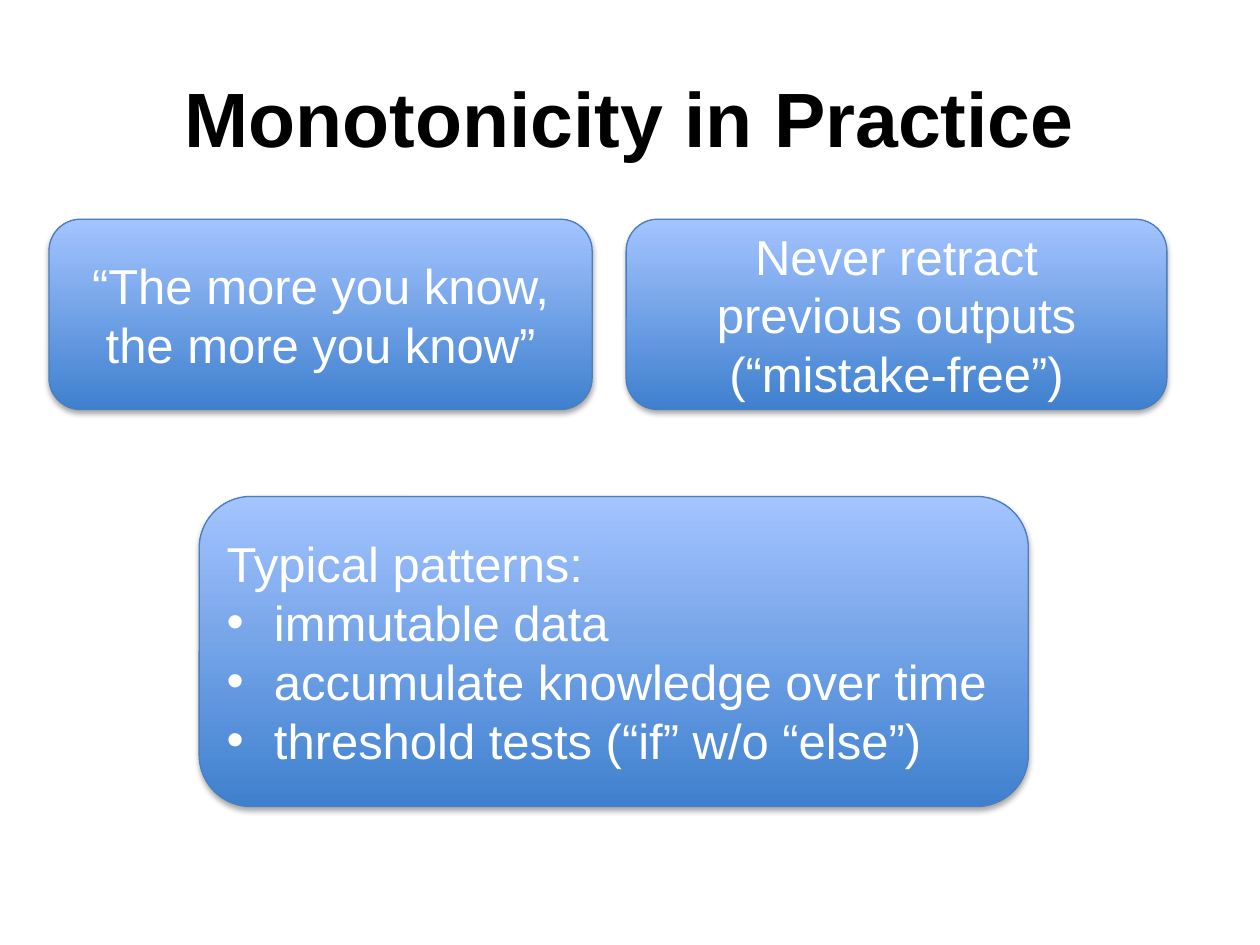
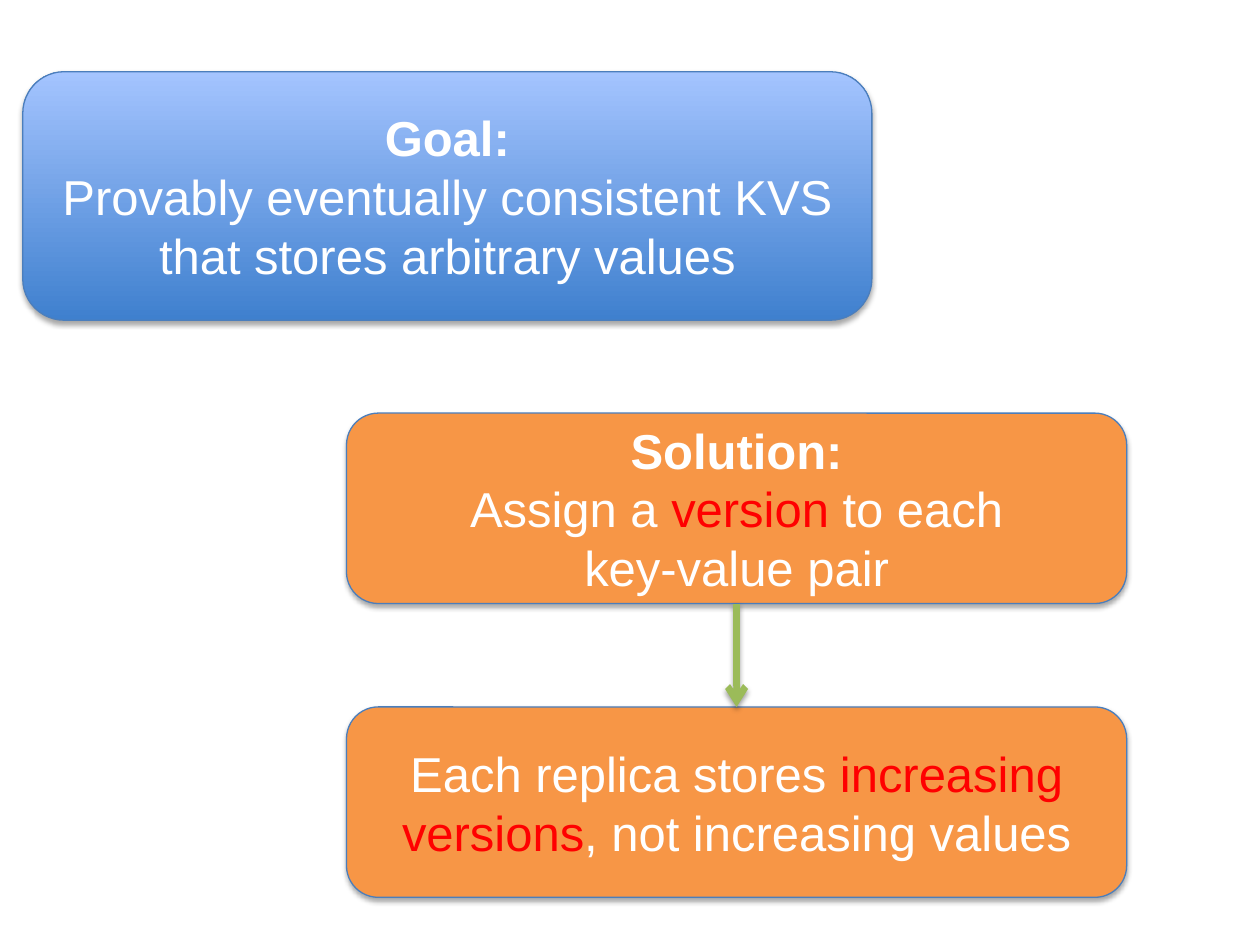
from dataclasses import dataclass

from lxml import etree
from pptx import Presentation
from pptx import util as u
from pptx.dml import color as dml
from pptx.enum import shapes, text
from pptx.oxml import ns

Pt = u.Pt
TITLE_ONLY, BLANK = 5, 6
BOTTOM_SITE, TOP_SITE = 2, 0


@dataclass(frozen=True)
class Theme:
    font: str = "Arial"
    title_size: float = 44
    text_size: float = 28
    ink: str = "000000"
    paper: str = "FFFFFF"
    highlight: str = "FF0000"
    blue_low: str = "3F80CE"
    blue_high: str = "A4C4FF"
    orange: str = "F79646"
    outline: str = "4B7EBC"
    arrow: str = "9BBB59"
    outline_width: float = 0.75
    arrow_width: float = 3.75
    bullet_indent: float = 27


def rgb(value):
    return dml.RGBColor.from_string(value)


def set_values(target, values):
    """Set every attribute named in values on target."""
    for name, value in values.items():
        setattr(target, name, value)


def add_xml(parent, tag, **attributes):
    return etree.SubElement(parent, ns.qn(tag), attributes)


def add_shadow(effects, distance, opacity):
    """Put a soft black shadow, falling straight down, in an effect list."""
    shadow = add_xml(effects, "a:outerShdw", blurRad=str(Pt(3.1)),
                     dist=str(Pt(distance)), dir="5400000", rotWithShape="0")
    black = add_xml(shadow, "a:srgbClr", val="000000")
    add_xml(black, "a:alpha", val=str(opacity * 1000))


class Deck:
    def __init__(self, theme):
        self.theme = theme
        self.file = Presentation()
        set_values(self.file, {"slide_width": Pt(720), "slide_height": Pt(540)})
        self.slide = None
        base = {"name": theme.font, "size": Pt(theme.text_size), "bold": False}
        self.styles = {
            "plain": (base, theme.paper),
            "bold": (base | {"bold": True}, theme.paper),
            "highlight": (base, theme.highlight),
            "title": (base | {"size": Pt(theme.title_size), "bold": True}, theme.ink),
        }

    def new_slide(self, layout):
        self.slide = self.file.slides.add_slide(self.file.slide_layouts[layout])

    def fill_paragraph(self, paragraph, parts, align):
        """Fill a paragraph with (text, style) parts; a newline breaks the line."""
        paragraph.alignment = align
        for words, style in parts:
            values, colour = self.styles[style]
            for number, line in enumerate(words.split("\n")):
                if number:
                    paragraph.add_line_break()
                if line:
                    run = paragraph.add_run()
                    run.text = line
                    set_values(run.font, values)
                    run.font.color.rgb = rgb(colour)

    def title(self, words):
        title = self.slide.shapes.title
        set_values(title, {"left": Pt(36), "top": Pt(21.6),
                           "width": Pt(648), "height": Pt(90)})
        title.text_frame.vertical_anchor = text.MSO_ANCHOR.MIDDLE
        self.fill_paragraph(title.text_frame.paragraphs[0], [(words, "title")],
                            text.PP_ALIGN.CENTER)

    def card(self, bounds, parts, solid=None):
        """Add a rounded box, blue gradient unless a solid colour is given."""
        theme = self.theme
        card = self.slide.shapes.add_shape(
            shapes.MSO_SHAPE.ROUNDED_RECTANGLE, *map(Pt, bounds))
        if solid:
            card.fill.solid()
            card.fill.fore_color.rgb = rgb(solid)
        else:
            card.fill.gradient()
            card.fill.gradient_angle = 90
            for stop, colour in zip(card.fill.gradient_stops,
                                    (theme.blue_low, theme.blue_high)):
                stop.color.rgb = rgb(colour)
        card.line.color.rgb = rgb(theme.outline)
        card.line.width = Pt(theme.outline_width)
        card.shadow.inherit = False
        add_shadow(card.element.spPr.find(ns.qn("a:effectLst")), 1.8, 35)
        card.text_frame.vertical_anchor = text.MSO_ANCHOR.MIDDLE
        self.fill_paragraph(card.text_frame.paragraphs[0], parts, text.PP_ALIGN.CENTER)
        return card

    def bullet_card(self, bounds, heading, items):
        card = self.card(bounds, [(heading, "plain")])
        card.text_frame.paragraphs[0].alignment = text.PP_ALIGN.LEFT
        indent = Pt(self.theme.bullet_indent)
        for item in items:
            paragraph = card.text_frame.add_paragraph()
            properties = paragraph._p.get_or_add_pPr()
            properties.set("marL", str(indent))
            properties.set("indent", str(-indent))
            add_xml(properties, "a:buFont", typeface=self.theme.font)
            add_xml(properties, "a:buChar", char="•")
            self.fill_paragraph(paragraph, [(item, "plain")], text.PP_ALIGN.LEFT)

    def arrow_down(self, upper, lower):
        arrow = self.slide.shapes.add_connector(shapes.MSO_CONNECTOR.STRAIGHT, 0, 0, 0, 0)
        arrow.begin_connect(upper, BOTTOM_SITE)
        arrow.end_connect(lower, TOP_SITE)
        arrow.line.color.rgb = rgb(self.theme.arrow)
        arrow.line.width = Pt(self.theme.arrow_width)
        properties = arrow.element.spPr
        add_xml(properties.find(ns.qn("a:ln")), "a:tailEnd", type="arrow")
        add_shadow(add_xml(properties, "a:effectLst"), 1.6, 38)


def monotonicity_slide(deck):
    deck.new_slide(TITLE_ONLY)
    deck.title("Monotonicity in Practice")
    deck.card((28, 125.3, 310.4, 108.8),
              [("“The more you know, the more you know”", "plain")])
    deck.card((357.8, 125.3, 309, 108.8),
              [("Never retract\nprevious outputs\n(“mistake-free”)", "plain")])
    deck.bullet_card((113.8, 283.7, 473.8, 177.2), "Typical patterns:", [
        "immutable data",
        "accumulate knowledge over time",
        "threshold tests (“if” w/o “else”)",
    ])


def versions_slide(deck):
    deck.new_slide(BLANK)
    deck.card((13, 41, 485.2, 142), [
        ("Goal:\n", "bold"),
        ("Provably eventually consistent KVS that stores arbitrary values", "plain"),
    ])
    steps = [
        [("Solution:\n", "bold"), ("Assign a ", "plain"), ("version", "highlight"),
         (" to each\nkey-value pair", "plain")],
        [("Each replica stores ", "plain"), ("increasing versions", "highlight"),
         (", not increasing values", "plain")],
    ]
    solution, replica = [
        deck.card((198, 236.1 + 167.9 * row, 445.8, 108.8), parts, deck.theme.orange)
        for row, parts in enumerate(steps)
    ]
    deck.arrow_down(solution, replica)


def main():
    deck = Deck(Theme())
    monotonicity_slide(deck)
    versions_slide(deck)
    deck.file.save("out.pptx")


if __name__ == "__main__":
    main()
